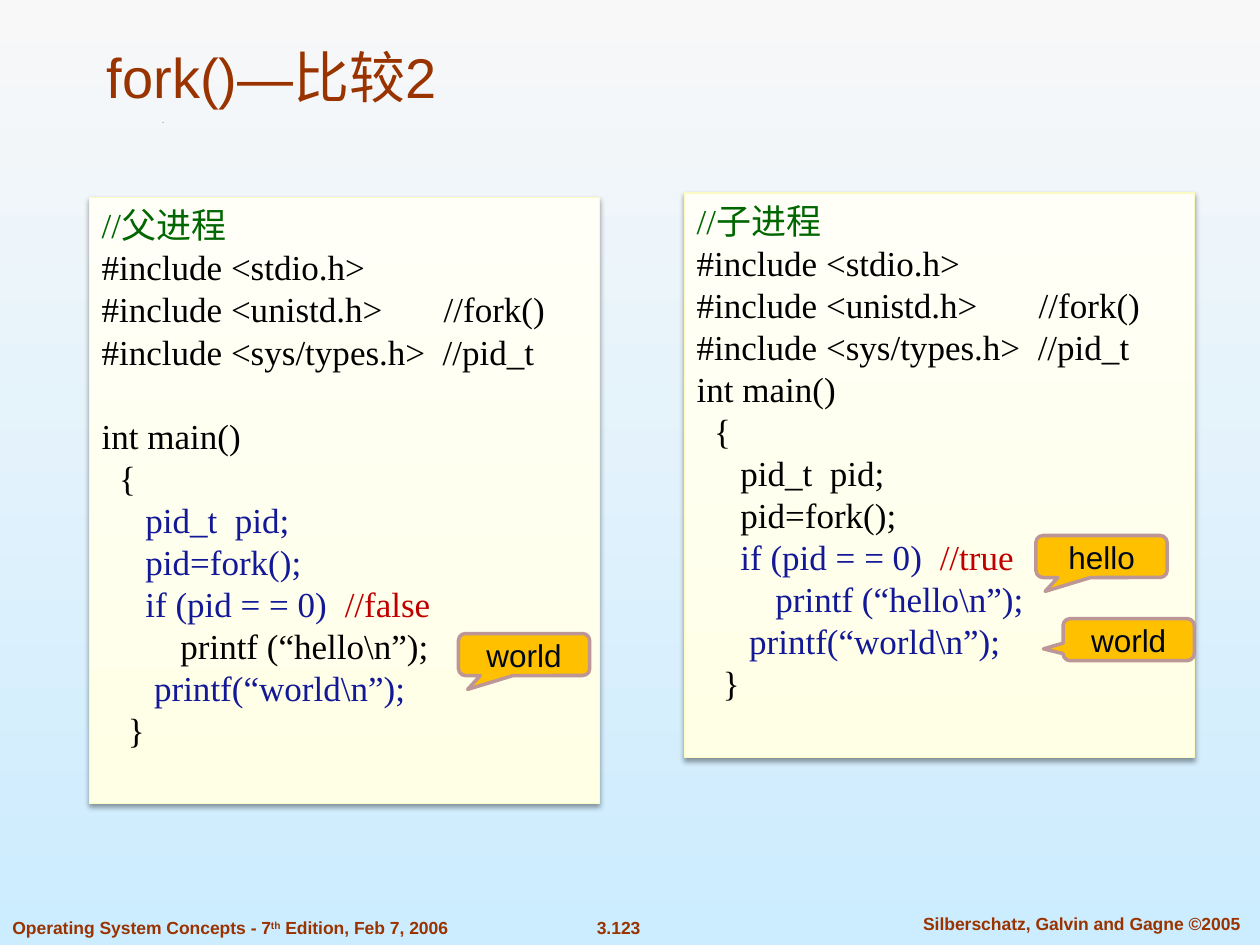
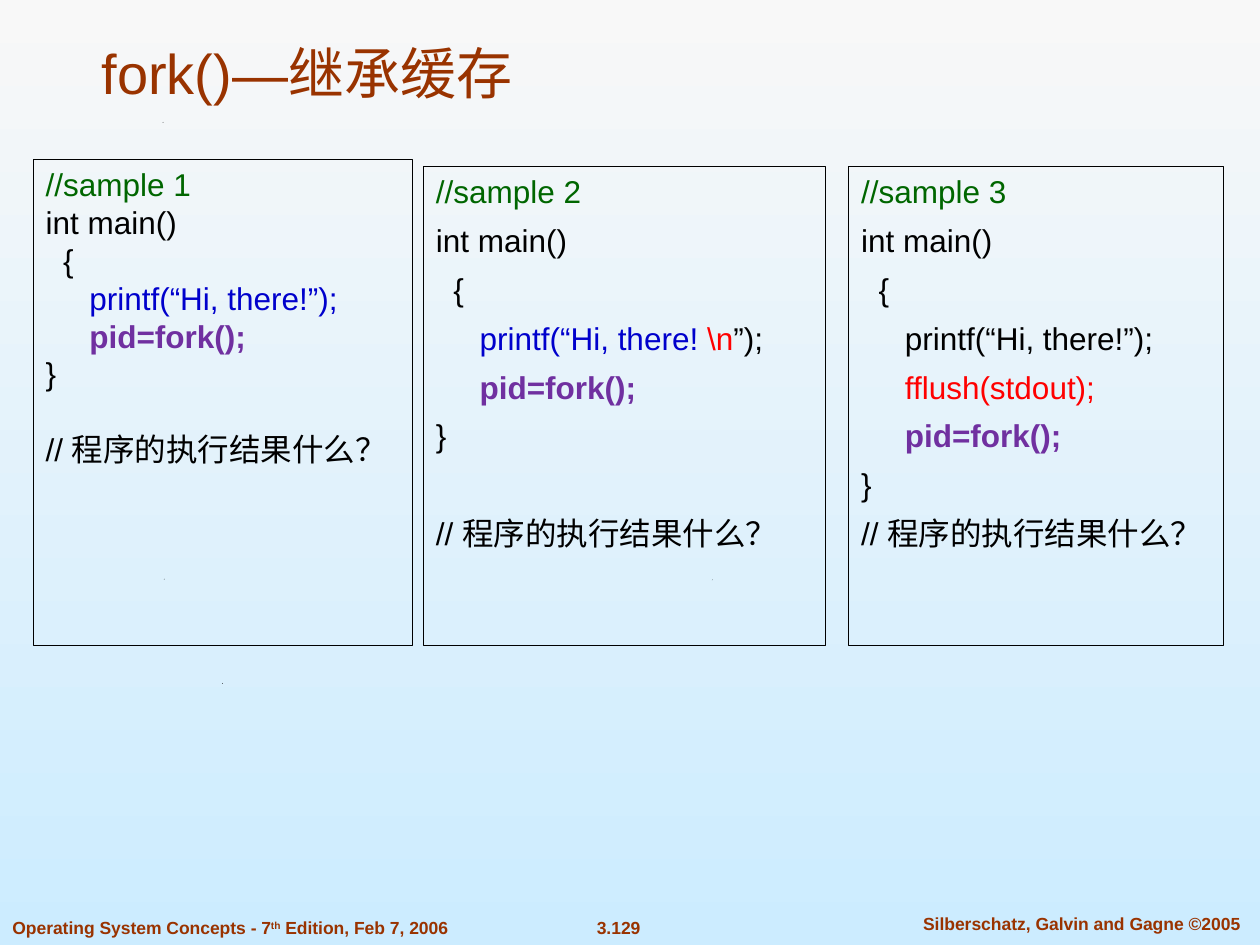
"""Build two lecture slides that compare fork() code samples."""
import lxml.etree
import pptx
import pptx.dml.color
import pptx.enum.shapes
import pptx.enum.text
import pptx.oxml.ns
import pptx.util

Pt = pptx.util.Pt
qn = pptx.oxml.ns.qn
ALIGN = pptx.enum.text.PP_ALIGN
ANCHOR = pptx.enum.text.MSO_ANCHOR
SHAPE = pptx.enum.shapes.MSO_SHAPE

COLOURS = {
    "sky top": "F8F8F8", "sky bottom": "CCECFF",
    "paper top": "FFFFF8", "paper bottom": "FFFFE6", "paper edge": "FBFBC4",
    "rust": "993300", "black": "000000", "comment": "006600",
    "executed": "121896", "result": "C00000", "print": "0000CC",
    "flush": "FF0000", "fork": "7030A0",
    "callout": "FFC000", "callout edge": "BD9797", "callout text": "000818",
}
LINE_HEIGHT = 1.2


class LectureDeck:
    """Hold the shared style and the current slide."""

    def __init__(self):
        self.deck = pptx.Presentation()
        self.deck.slide_width, self.deck.slide_height = Pt(720), Pt(540)
        self.page = None

    def colour(self, name):
        return pptx.dml.color.RGBColor.from_string(COLOURS[name])

    def gradient(self, fill, surface):
        fill.gradient()
        fill.gradient_angle = 270
        for stop, end in zip(fill.gradient_stops, ("top", "bottom")):
            stop.color.rgb = self.colour(f"{surface} {end}")

    def outline(self, shape, name, width):
        shape.line.color.rgb = self.colour(name)
        shape.line.width = Pt(width)

    def shape(self, kind, place):
        shape = self.page.shapes.add_shape(kind, *map(Pt, place))
        shape.shadow.inherit = False
        return shape

    def add_span(self, para, text, size, name, bold=False, font="Arial"):
        span = para.add_run()
        span.text = text
        span.font.size = Pt(size)
        span.font.name = font
        span.font.bold = bold
        span.font.color.rgb = self.colour(name)
        return span

    def label(self, place, align=ALIGN.LEFT, anchor=ANCHOR.TOP):
        box = self.page.shapes.add_textbox(*map(Pt, place))
        box.text_frame.word_wrap = True
        box.text_frame.vertical_anchor = anchor
        para = box.text_frame.paragraphs[0]
        para.alignment = align
        return para

    def start_page(self, title, title_place, number, specks):
        self.page = self.deck.slides.add_slide(self.deck.slide_layouts[6])
        self.gradient(self.page.background.fill, "sky")
        for left, top in specks:
            self.speck(left, top)
        self.footer(number)
        para = self.label(title_place, anchor=ANCHOR.BOTTOM)
        self.add_span(para, title, 32, "rust")

    def speck(self, left, top):
        builder = self.page.shapes.build_freeform(Pt(left), Pt(top))
        builder.add_line_segments([(Pt(left + 0.5), Pt(top - 0.5)),
                                   (Pt(left + 0.3), Pt(top))])
        speck = builder.convert_to_shape()
        speck.shadow.inherit = False
        speck.fill.solid()
        speck.fill.fore_color.rgb = self.colour("black")
        speck.line.fill.background()

    def footer(self, number):
        book = self.label((0, 520.5, 294, 19.4))
        for text, raised in (("Operating System Concepts - 7", False), ("th", True),
                             (" Edition, Feb 7, 2006", False)):
            span = self.add_span(book, text, 10, "rust", True)
            if raised:
                span.font._element.set("baseline", "30000")
        for text, place in ((number, (330.5, 520.5, 46, 19.4)),
                            ("Silberschatz, Galvin and Gagne ©2005",
                             (511.2, 518.4, 213.8, 19.4))):
            self.add_span(self.label(place, ALIGN.CENTER), text, 10, "rust", True)

    def code(self, box, lines, size, font, gap=0):
        frame = box.text_frame
        frame.word_wrap = True
        frame.vertical_anchor = ANCHOR.TOP
        before = 0
        para = frame.paragraphs[0]
        for index, line in enumerate(lines):
            if not line:
                before += size * LINE_HEIGHT + gap
                continue
            if index:
                para = frame.add_paragraph()
            para.alignment = ALIGN.LEFT
            para.space_before = Pt(before)
            for text, name in line:
                self.add_span(para, text, size, name, name == "fork", font)
            before = gap

    def paper(self, place, lines):
        box = self.shape(SHAPE.RECTANGLE, place)
        self.gradient(box.fill, "paper")
        self.outline(box, "paper edge", 0.75)
        effects = box._element.spPr.find(qn("a:effectLst"))
        shadow = lxml.etree.SubElement(
            effects, qn("a:outerShdw"), blurRad=str(Pt(3.1)), dist=str(Pt(1.6)),
            dir="5400000", rotWithShape="0")
        tint = lxml.etree.SubElement(shadow, qn("a:srgbClr"), val=COLOURS["black"])
        lxml.etree.SubElement(tint, qn("a:alpha"), val="38000")
        self.code(box, lines, 20, "Times New Roman")

    def sample(self, place, lines, gap):
        box = self.shape(SHAPE.RECTANGLE, place)
        box.fill.background()
        self.outline(box, "black", 0.75)
        self.code(box, lines, 18, "Arial", gap)

    def callout(self, text, left, top, tip):
        box = self.shape(SHAPE.ROUNDED_RECTANGULAR_CALLOUT, (left, top, 75, 24))
        for index, value in enumerate((*tip, 0.167)):
            box.adjustments[index] = value
        box.fill.solid()
        box.fill.fore_color.rgb = self.colour("callout")
        self.outline(box, "callout edge", 2)
        box.text_frame.vertical_anchor = ANCHOR.MIDDLE
        para = box.text_frame.paragraphs[0]
        para.alignment = ALIGN.CENTER
        self.add_span(para, text, 18, "callout text")


def plain(*texts):
    return [[(text, "black")] for text in texts]


def executed(*texts):
    return [[(text, "executed")] for text in texts]


INCLUDES = plain("#include <stdio.h>", "#include <unistd.h>       //fork()",
                 "#include <sys/types.h>  //pid_t")
MAIN = plain("int main()", "  {")
DECLARE_AND_FORK = ("     pid_t  pid;", "     pid=fork();")
HELLO = "         printf (“hello\\n”);"
WORLD = "      printf(“world\\n”);"
FORK = [("     ", "black"), ("pid=fork();", "fork")]
QUESTION = plain("// 程序的执行结果什么？")
BLANK = [[]]
SPECK = (92.9, 70.2)
LOWER_SPECKS = [(126.9, 390.8), (93.6, 331.2), (406.8, 331.6)]


def condition(result):
    return [[("     if (pid = = 0)  ", "executed"), (result, "result")]]


def compare_processes(style):
    style.start_page("fork()—比较2", (54, 18, 635.8, 48.2), "3.123", [SPECK])
    style.paper((51, 113, 291.6, 346.3), [
        [("//父进程", "comment")], *INCLUDES, *BLANK, *MAIN,
        *executed(*DECLARE_AND_FORK), *condition("//false"),
        *plain(HELLO), *executed(WORLD), *plain("   }")])
    style.paper((391, 110.2, 291.6, 322.6), [
        [("//子进程", "comment")], *INCLUDES, *MAIN,
        *plain(*DECLARE_AND_FORK), *condition("//true"),
        *executed(HELLO, WORLD), *plain("   }")])
    below, beside = (-0.43, 0.83), (-0.65, 0.22)
    style.callout("world", 262, 362, below)
    style.callout("hello", 592, 306, below)
    style.callout("world", 607.5, 353.5, beside)


def inherit_buffer(style):
    style.start_page("fork()—继承缓存", (51, 14.4, 612, 49.7), "3.129",
                     [*LOWER_SPECKS, SPECK])
    greeting = "     printf(“Hi, there!”);"
    bodies = [
        [[(greeting, "print")], FORK, *plain("}"), *BLANK],
        [[("     ", "black"), ("printf(“Hi, there! ", "print"), ("\\n", "flush"),
          ("”);", "black")], FORK, *plain("}"), *BLANK],
        [*plain(greeting), [("     fflush(stdout);", "flush")], FORK, *plain("}")],
    ]
    places = [(19, 91, 216.7, 277.8), (242, 95, 229.7, 273.8), (485, 95, 214, 273.8)]
    gaps = [0, 6.3, 6.3]
    for number, (body, place, gap) in enumerate(zip(bodies, places, gaps), 1):
        heading = [(f"//sample {number}", "comment")]
        style.sample(place, [heading, *MAIN, *body, *QUESTION], gap)


def main():
    style = LectureDeck()
    compare_processes(style)
    inherit_buffer(style)
    style.deck.save("out.pptx")


if __name__ == "__main__":
    main()
